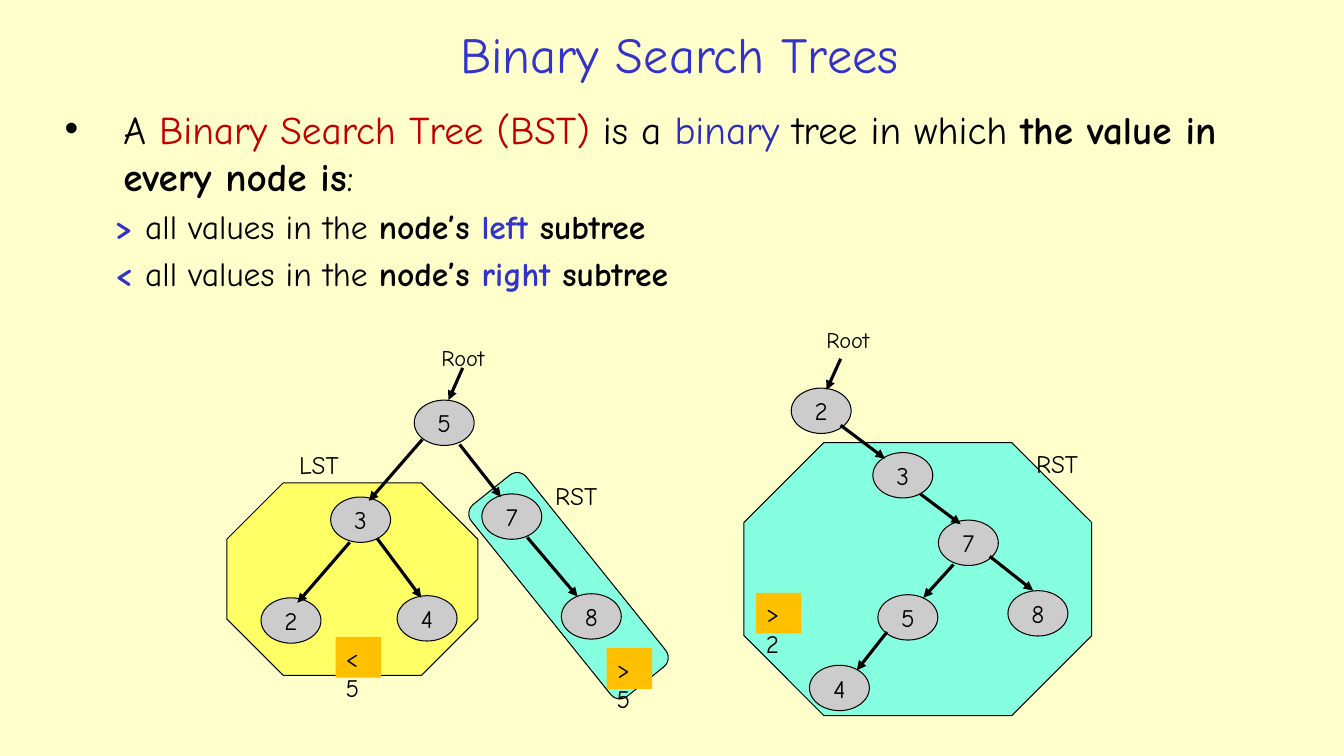
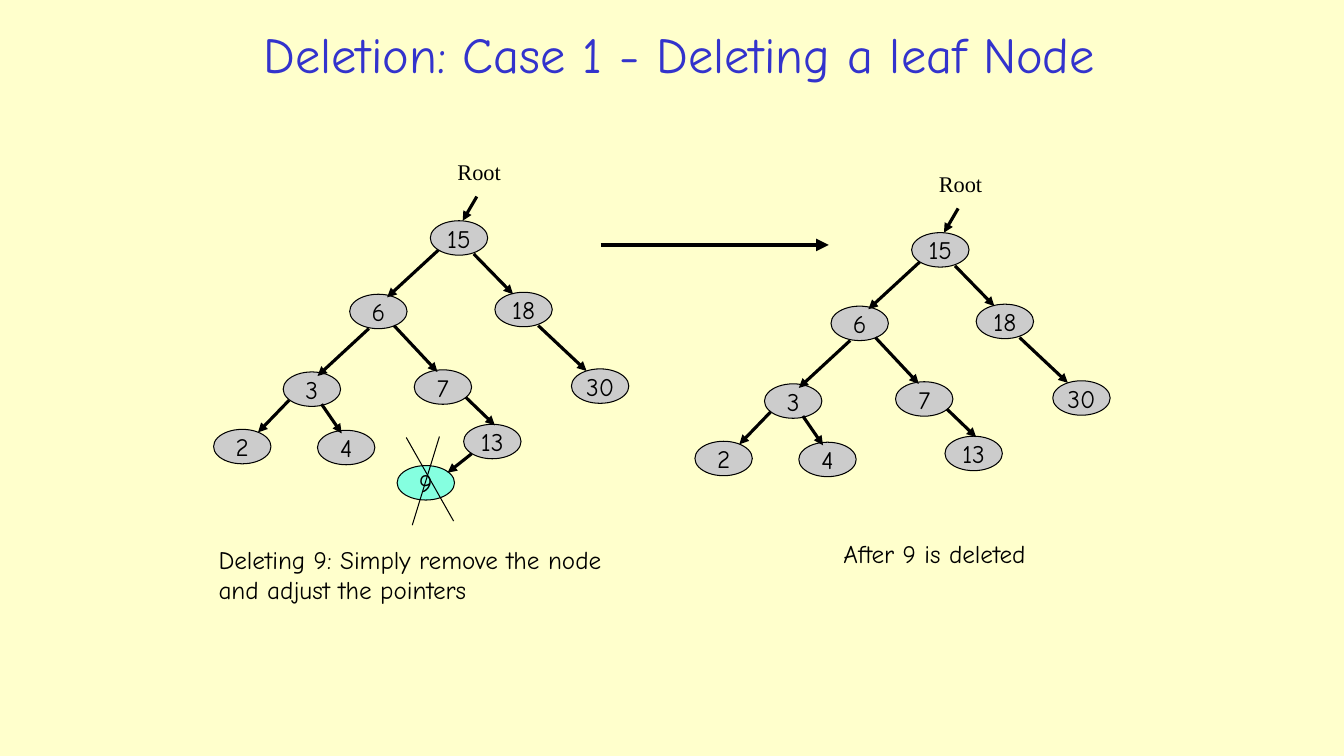
import pptx
import pptx.util
import pptx.dml.color
import pptx.enum.shapes
import pptx.enum.text
import pptx.oxml.ns
import lxml.etree

Pt = pptx.util.Pt
RGBColor = pptx.dml.color.RGBColor
MSO_SHAPE = pptx.enum.shapes.MSO_SHAPE
MSO_CONNECTOR = pptx.enum.shapes.MSO_CONNECTOR
MSO_ANCHOR = pptx.enum.text.MSO_ANCHOR
MSO_AUTO_SIZE = pptx.enum.text.MSO_AUTO_SIZE
PP_ALIGN = pptx.enum.text.PP_ALIGN
qn = pptx.oxml.ns.qn

CREAM = RGBColor(0xFF, 0xFF, 0xCC)
BLUE = RGBColor(0x33, 0x33, 0xCC)
DARK_BLUE = RGBColor(0x2D, 0x2D, 0xB9)
RED = RGBColor(0xC0, 0x00, 0x00)
BLACK = RGBColor(0x00, 0x00, 0x00)
GREY = RGBColor(0xCC, 0xCC, 0xCC)
AQUA = RGBColor(0x85, 0xFF, 0xE0)
YELLOW = RGBColor(0xFF, 0xFF, 0x66)
ORANGE = RGBColor(0xFF, 0xC0, 0x00)

FONT = "Comic Neue"
SERIF = "Times New Roman"
BIG_NODE = (42.8, 32.4)
SMALL_NODE = (41, 24.6)
NO_MARGINS = dict.fromkeys(
    ("margin_left", "margin_top", "margin_right", "margin_bottom"), 0)

LEFT_BST = {
    "nodes": [("5", 295.9, 285.8), ("3", 236.2, 355), ("7", 344.2, 352.8),
              ("8", 401, 424.1), ("2", 186.5, 427), ("4", 283.7, 425.5)],
    "edges": [(330.5, 262.8, 320.4, 285.8), (301.7, 313.9, 263.5, 357.8),
              (328.3, 317.5, 357.8, 355), (376.6, 383.8, 412.6, 426.2),
              (249.8, 387.4, 212.4, 430.6), (269.3, 384.5, 301, 427)],
}
RIGHT_BST = {
    "nodes": [("2", 565.2, 277.2), ("3", 623.5, 323.3), ("7", 670.3, 371.5),
              ("8", 720, 421.9), ("5", 627.1, 424.8), ("4", 578.2, 475.2)],
    "edges": [(600.5, 256.3, 590.4, 278.6), (600.5, 303.8, 632.2, 327.6),
              (657.4, 352.8, 686.2, 374.4), (707, 397.4, 738, 421.9),
              (681.1, 403.2, 659.5, 427), (633.6, 451.4, 612, 478.8)],
}
DELETION_TREE = {
    "nodes": [("15", 307.4, 157.7), ("6", 249.8, 210.2), ("18", 353.5, 208.8),
              ("30", 408.2, 263.5), ("3", 202.3, 265.7), ("7", 295.9, 264.2),
              ("2", 152.6, 306.7), ("4", 226.8, 307.4), ("13", 331.2, 303.1)],
    "edges": [(340.6, 140.4, 330.5, 157.7), (313.2, 178.6, 276.5, 212.4),
              (338.4, 181.4, 366.5, 210.2), (384.5, 232.6, 419, 265),
              (263.5, 234.7, 226.8, 268.6), (281.5, 232.6, 312.5, 265.7),
              (206.6, 285.8, 184.3, 308.9), (229.7, 288.7, 244.1, 309.6),
              (332.6, 283.7, 353.5, 303.8)],
}
DEFINITION = [
    (0, 28, [("A ", BLACK, False), ("Binary Search Tree (BST)", RED, False),
             (" is a ", BLACK, False), ("binary", DARK_BLUE, False),
             (" tree in which ", BLACK, False),
             ("the value in every node is", BLACK, True), (":", BLACK, False)]),
] + [
    (1, 24, [(sign, BLUE, True), ("all values in the ", BLACK, False),
             ("node’s ", BLACK, True), (side, BLUE, True),
             ("subtree", BLACK, True)])
    for sign, side in (("> ", "left "), ("< ", "right "))
]


def set_all(obj, values):
    for name, value in values.items():
        setattr(obj, name, value)


def place(sp, *box):
    set_all(sp, dict(zip(("left", "top", "width", "height"), map(Pt, box))))


def add_run(p, text, size, color=BLACK, bold=False, font=FONT):
    r = p.add_run()
    r.text = text
    set_all(r.font, {"name": font, "size": Pt(size), "bold": bold})
    r.font.color.rgb = color


def add_slide(prs, layout, title):
    s = prs.slides.add_slide(prs.slide_layouts[layout])
    place(s.shapes.title, 141.8, 10.8, 686.9, 54.7)
    tf = s.shapes.title.text_frame
    set_all(tf, {"vertical_anchor": MSO_ANCHOR.MIDDLE, "word_wrap": True,
                 "auto_size": MSO_AUTO_SIZE.NONE})
    tf.paragraphs[0].alignment = PP_ALIGN.CENTER
    add_run(tf.paragraphs[0], title, 36, BLUE)
    return s


def fill_body(sp, paragraphs):
    place(sp, 38.9, 71.3, 890.6, 176.4)
    tf = sp.text_frame
    tf.auto_size = MSO_AUTO_SIZE.NONE
    for i, (level, size, runs) in enumerate(paragraphs):
        p = tf.add_paragraph() if i else tf.paragraphs[0]
        set_all(p, {"level": level, "space_before": Pt(5 if i else 0)})
        pPr = p._p.get_or_add_pPr()
        margin, indent = ((42, -42), (72, -36))[level]
        pPr.set("marL", str(Pt(margin)))
        pPr.set("indent", str(Pt(indent)))
        if level:
            lxml.etree.SubElement(pPr, qn("a:buNone"))
        else:
            lxml.etree.SubElement(pPr, qn("a:buChar")).set("char", "•")
        for text, color, bold in runs:
            add_run(p, text, size, color, bold)


def add_outline(s, kind, box, fill, line=BLACK):
    sp = s.shapes.add_shape(kind, *map(Pt, box))
    sp.shadow.inherit = False
    sp.fill.solid()
    sp.fill.fore_color.rgb = fill
    if line is None:
        sp.line.fill.background()
    else:
        sp.line.color.rgb = line
        sp.line.width = Pt(0.75)
    return sp


def add_node(s, label, x, y, size, fill=GREY):
    sp = add_outline(s, MSO_SHAPE.OVAL, (x, y, *size), fill)
    tf = sp.text_frame
    set_all(tf, {"word_wrap": False, "vertical_anchor": MSO_ANCHOR.MIDDLE,
                 **NO_MARGINS})
    tf.paragraphs[0].alignment = PP_ALIGN.CENTER
    add_run(tf.paragraphs[0], label, 18)


def add_line(s, points, width=2.25, arrow=True):
    c = s.shapes.add_connector(MSO_CONNECTOR.STRAIGHT, *map(Pt, points))
    c.line.color.rgb = BLACK
    c.line.width = Pt(width)
    if arrow:
        ln = c.line._get_or_add_ln()
        lxml.etree.SubElement(ln, qn("a:tailEnd")).set("type", "triangle")
    lxml.etree.SubElement(c._element.spPr, qn("a:effectLst"))


def add_label(s, lines, x, y, width, size=18, font=FONT):
    sp = s.shapes.add_textbox(Pt(x), Pt(y), Pt(width), Pt(28))
    tf = sp.text_frame
    tf.word_wrap = True
    for i, text in enumerate(lines):
        p = tf.add_paragraph() if i else tf.paragraphs[0]
        add_run(p, text, size, font=font)


def add_badge(s, text, x, y):
    sp = add_outline(s, MSO_SHAPE.RECTANGLE, (x, y, 32.4, 29), ORANGE, None)
    tf = sp.text_frame
    set_all(tf, {"word_wrap": True, "vertical_anchor": MSO_ANCHOR.TOP})
    tf.paragraphs[0].alignment = PP_ALIGN.LEFT
    add_run(tf.paragraphs[0], text, 18)


def add_tree(s, tree, size, dx=0, dy=0):
    for label, x, y in tree["nodes"]:
        add_node(s, label, x + dx, y + dy, size)
    for x1, y1, x2, y2 in tree["edges"]:
        add_line(s, (x1 + dx, y1 + dy, x2 + dx, y2 + dy))


def build_definition(prs):
    s = add_slide(prs, 1, "Binary Search Trees")
    fill_body(s.placeholders[1], DEFINITION)
    sp = add_outline(s, MSO_SHAPE.ROUNDED_RECTANGLE,
                     (380.9, 330.5, 50.4, 175.7), AQUA)
    sp.rotation = 321.2
    for box, fill in (((162, 344.9, 179.3, 137.5), YELLOW),
                      ((531.4, 316.1, 248.4, 195.1), AQUA)):
        add_outline(s, MSO_SHAPE.OCTAGON, box, fill)
    for tree in (LEFT_BST, RIGHT_BST):
        add_tree(s, tree, BIG_NODE)
    for x, y in ((308.2, 242.6), (583.2, 229.7)):
        add_label(s, ["Root"], x, y, 52, 16)
    for text, x, y in (("LST", 206.6, 317.5), ("RST", 389.5, 339.8),
                       ("RST", 733, 316.8)):
        add_label(s, [text], x, y, 52)
    for text, x, y in (("<5", 239.8, 455), (">5", 433.4, 463),
                       (">2", 540, 423.4)):
        add_badge(s, text, x, y)


def build_deletion(prs):
    s = add_slide(prs, 5, "Deletion: Case 1 - Deleting a leaf Node")
    for dx, dy in ((0, 0), (343.8, 8.5)):
        add_label(s, ["Root"], 319.7 + dx, 109.4 + dy, 50, 16, SERIF)
        add_tree(s, DELETION_TREE, SMALL_NODE, dx, dy)
    add_node(s, "9", 283.7, 332.6, SMALL_NODE, AQUA)
    add_line(s, (337, 324, 319.7, 337.7))
    for stroke in ((290.2, 312.5, 324, 372.2), (313.9, 311.8, 294.5, 375.1)):
        add_line(s, stroke, 0.75, False)
    add_line(s, (429, 175, 592, 175), 3)
    add_label(s, ["Deleting 9: Simply remove the node",
                  "and adjust the pointers"], 149, 385.2, 320.4)
    add_label(s, ["After 9 is deleted"], 595.4, 380.9, 170.6)


def main():
    prs = pptx.Presentation()
    set_all(prs, {"slide_width": Pt(960), "slide_height": Pt(540)})
    fill = prs.slide_master.background.fill
    fill.solid()
    fill.fore_color.rgb = CREAM
    build_definition(prs)
    build_deletion(prs)
    prs.save("out.pptx")


if __name__ == "__main__":
    main()
